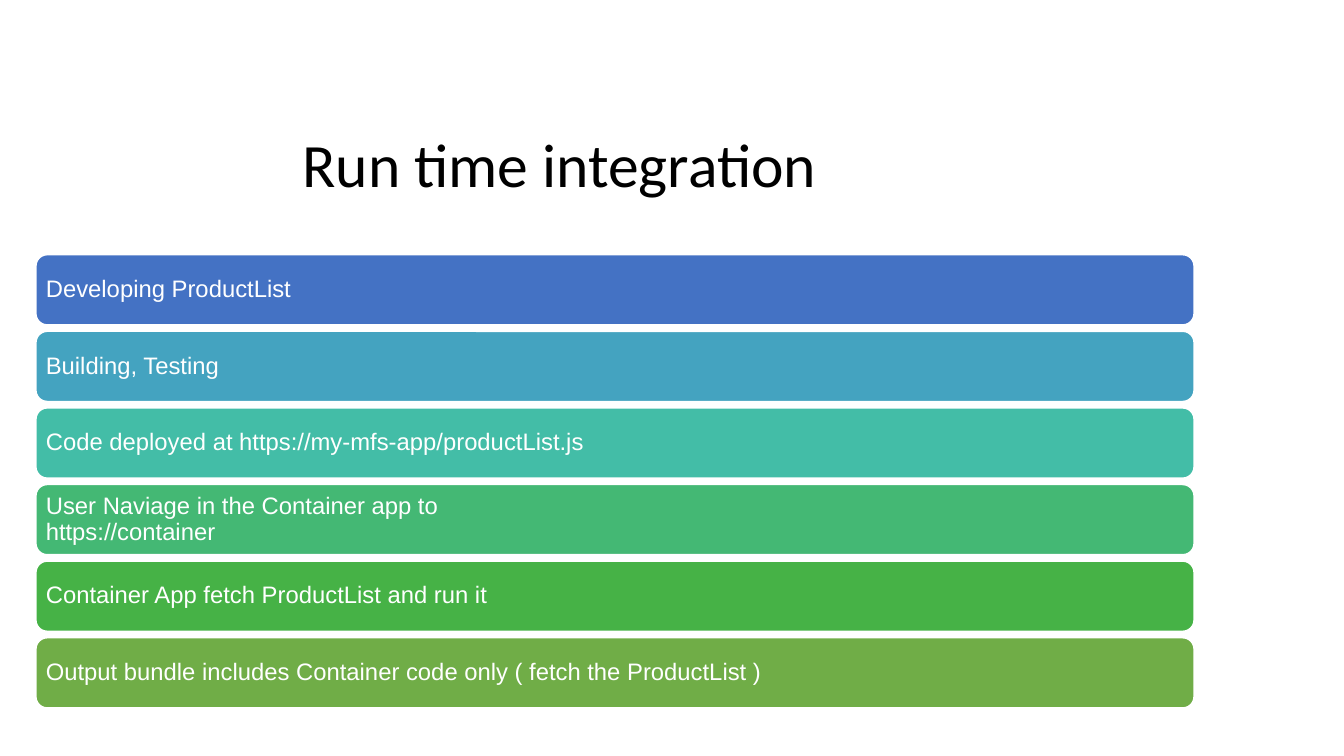
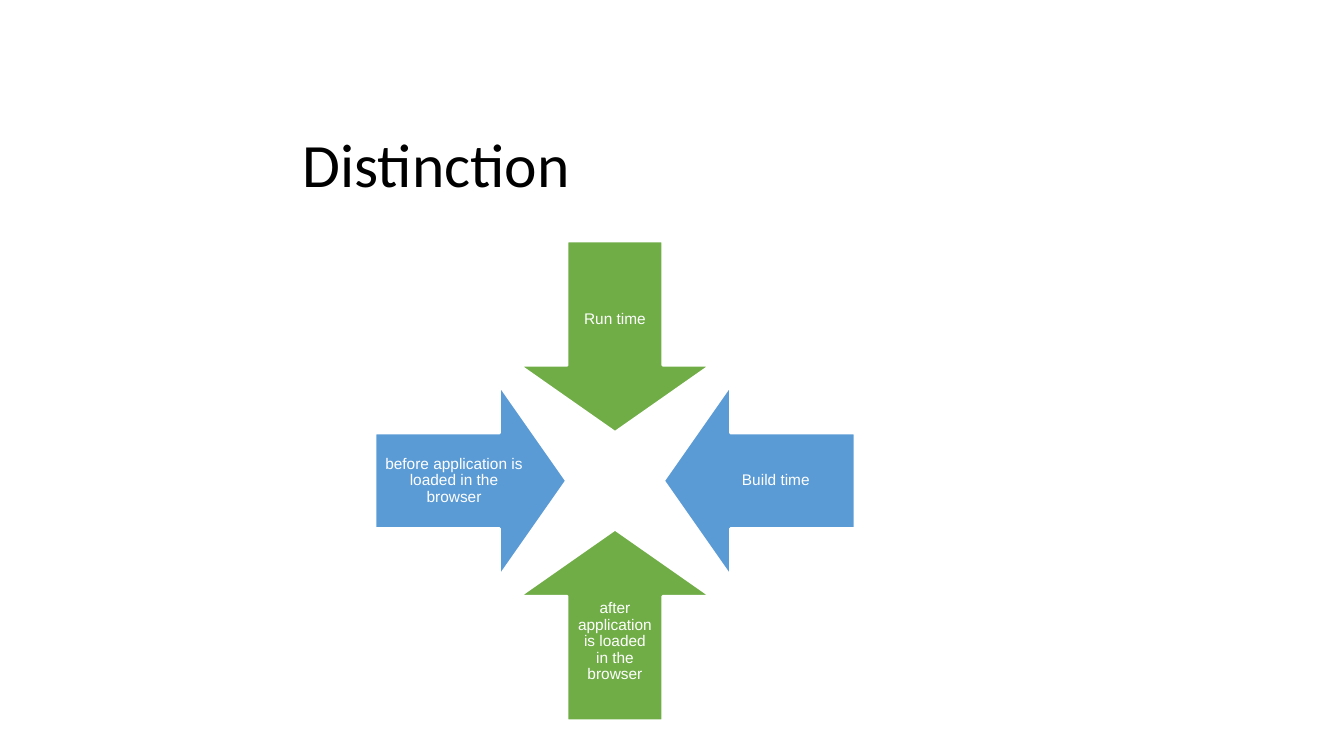
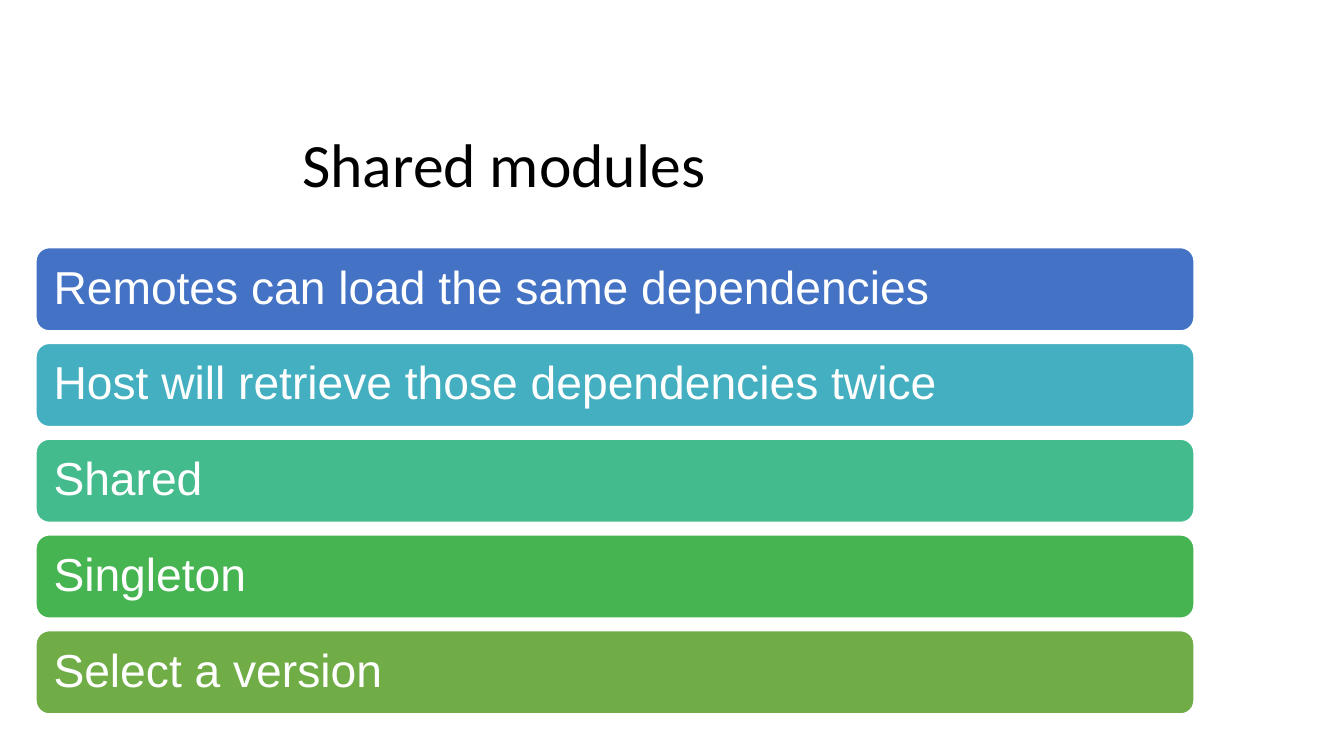
from dataclasses import dataclass
from typing import Any

import pptx
import pptx.dml.color
import pptx.enum.shapes
import pptx.enum.text
import pptx.util

RGB = pptx.dml.color.RGBColor
SHAPE = pptx.enum.shapes.MSO_SHAPE
ALIGN = pptx.enum.text.PP_ALIGN
ANCHOR = pptx.enum.text.MSO_ANCHOR

EMU_PER_PX = 9144
BLANK = 6

BLACK = RGB(0x00, 0x00, 0x00)
WHITE = RGB(0xFF, 0xFF, 0xFF)
BLUE = RGB(0x44, 0x72, 0xC4)
LIGHT_BLUE = RGB(0x5B, 0x9B, 0xD5)
STEEL = RGB(0x44, 0xA3, 0xC0)
CYAN = RGB(0x43, 0xAF, 0xC0)
TEAL = RGB(0x43, 0xBD, 0xA7)
MINT = RGB(0x43, 0xBB, 0x8D)
EMERALD = RGB(0x44, 0xB8, 0x74)
GREEN = RGB(0x45, 0xB4, 0x51)
GRASS = RGB(0x46, 0xB2, 0x46)
OLIVE = RGB(0x70, 0xAD, 0x47)

BAR_LEFT, BAR_WIDTH = 35, 1150
ARROW_SIZE, ARROW_REACH = 190, 143
CENTER_X, CENTER_Y = 610, 477


@dataclass(frozen=True)
class TextStyle:
    font: str
    size: int
    color: RGB
    align: Any
    margin_x: int
    margin_y: int


@dataclass(frozen=True)
class BarStack:
    title: str
    top: int
    height: int
    pitch: int
    style: TextStyle
    bars: tuple[tuple[str, RGB], ...]


@dataclass(frozen=True)
class Arrow:
    text: str
    shape: Any
    dx: int
    dy: int
    fill: RGB


TITLE = TextStyle("Calibri", 44, BLACK, ALIGN.LEFT, 10, 5)
STEP = TextStyle("Arial", 17, WHITE, ALIGN.LEFT, 7, 7)
POINT = TextStyle("Arial", 33, WHITE, ALIGN.LEFT, 14, 14)
ARROW_LABEL = TextStyle("Arial", 11, WHITE, ALIGN.CENTER, 9, 9)

RUN_TIME = BarStack("Run time integration", 252, 71, 76, STEP, (
    ("Developing ProductList", BLUE),
    ("Building, Testing", STEEL),
    ("Code deployed at https://my-mfs-app/productList.js", TEAL),
    ("User Naviage in the Container app to\nhttps://container", EMERALD),
    ("Container App fetch ProductList and run it", GRASS),
    ("Output bundle includes Container code only ( fetch the ProductList )", OLIVE),
))

SHARED = BarStack("Shared modules", 245, 84, 95, POINT, (
    ("Remotes can load the same dependencies", BLUE),
    ("Host will retrieve those dependencies twice", CYAN),
    ("Shared", MINT),
    ("Singleton", GREEN),
    ("Select a version", OLIVE),
))

ARROWS = (
    Arrow("Run time", SHAPE.DOWN_ARROW, 0, -1, OLIVE),
    Arrow("Build time", SHAPE.LEFT_ARROW, 1, 0, LIGHT_BLUE),
    Arrow("after application is loaded in the browser", SHAPE.UP_ARROW, 0, 1, OLIVE),
    Arrow("before application is loaded in the browser", SHAPE.RIGHT_ARROW, -1, 0, LIGHT_BLUE),
)


def px(n: int) -> pptx.util.Emu:
    return pptx.util.Emu(n * EMU_PER_PX)


def apply(target: Any, values: dict[str, Any]) -> None:
    for name, value in values.items():
        setattr(target, name, value)


def write(sp: Any, text: str, style: TextStyle) -> None:
    tf = sp.text_frame
    apply(tf, {
        "word_wrap": True,
        "vertical_anchor": ANCHOR.MIDDLE,
        "margin_left": px(style.margin_x),
        "margin_right": px(style.margin_x),
        "margin_top": px(style.margin_y),
        "margin_bottom": px(style.margin_y),
    })
    p = tf.paragraphs[0]
    p.text = text
    apply(p, {"alignment": style.align, "line_spacing": 0.9})
    for r in p.runs:
        apply(r.font, {"name": style.font, "size": pptx.util.Pt(style.size)})
        r.font.color.rgb = style.color


def add_block(s: Any, shape: Any, box: tuple[int, int, int, int], fill: RGB,
              text: str, style: TextStyle) -> Any:
    sp = s.shapes.add_shape(shape, *map(px, box))
    sp.shadow.inherit = False
    sp.fill.solid()
    sp.fill.fore_color.rgb = fill
    sp.line.color.rgb = WHITE
    sp.line.width = pptx.util.Pt(2)
    write(sp, text, style)
    return sp


def add_slide(prs: Any, title: str) -> Any:
    s = prs.slides.add_slide(prs.slide_layouts[BLANK])
    write(s.shapes.add_textbox(*map(px, (290, 94, 894, 145))), title, TITLE)
    return s


def add_bar_slide(prs: Any, stack: BarStack) -> None:
    s = add_slide(prs, stack.title)
    for i, (text, fill) in enumerate(stack.bars):
        box = (BAR_LEFT, stack.top + i * stack.pitch, BAR_WIDTH, stack.height)
        add_block(s, SHAPE.ROUNDED_RECTANGLE, box, fill, text, stack.style)


def add_arrow_slide(prs: Any) -> None:
    s = add_slide(prs, "Distinction")
    for arrow in ARROWS:
        left = CENTER_X + arrow.dx * ARROW_REACH - ARROW_SIZE // 2
        top = CENTER_Y + arrow.dy * ARROW_REACH - ARROW_SIZE // 2
        sp = add_block(s, arrow.shape, (left, top, ARROW_SIZE, ARROW_SIZE),
                       arrow.fill, arrow.text, ARROW_LABEL)
        sp.adjustments[0] = 0.5
        sp.adjustments[1] = 0.35


def main() -> None:
    prs = pptx.Presentation()
    apply(prs, {"slide_width": px(1333), "slide_height": px(750)})
    add_bar_slide(prs, RUN_TIME)
    add_arrow_slide(prs)
    add_bar_slide(prs, SHARED)
    prs.save("out.pptx")


if __name__ == "__main__":
    main()
